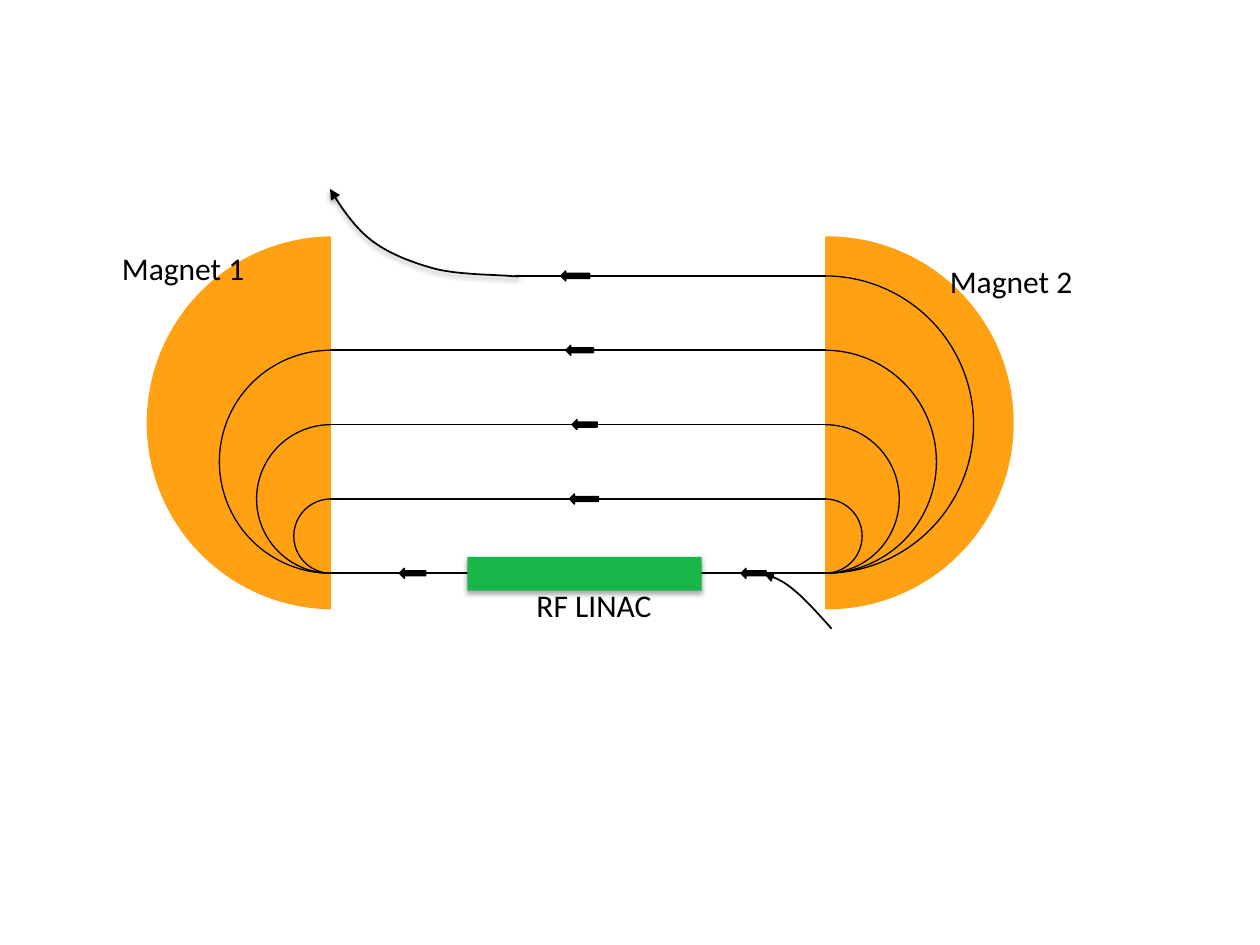
from lxml import etree
from pptx import Presentation
from pptx.dml.color import RGBColor
from pptx.enum.shapes import MSO_CONNECTOR, MSO_SHAPE as SHAPE
from pptx.oxml import parse_xml
from pptx.oxml.ns import nsdecls, qn
from pptx.util import Pt

ORANGE = RGBColor(0xFF, 0xA1, 0x12)
GREEN = RGBColor(0x19, 0xB7, 0x49)
BLACK = RGBColor(0, 0, 0)
WHITE = RGBColor(0xFF, 0xFF, 0xFF)

# Content, in points
BEAM_Y, STEP = 327.6, 42.48          # lowest beam, gap between beams
MAGNET_TOP, MAGNET_SIZE = 135.4, 212.4
MAGNETS = [  # magnet centre, orbit centre, number of orbits, mask left, mask top
    (190.4, 189.1, 3, 189.4, 131.8),
    (472.7, 471.4, 4, 360, 133.9),
]
MASK_W, MASK_H = 110.9, 217.4
BEAM_LEFTS, BEAM_RIGHT = [188.6] * 4 + [293.8], 472.3   # from the bottom up
LINAC = (267.1, 318.2, 133.9, 19.4)
ARROWS = [  # beam number, left, width
    (0, 423.4, 14.4), (0, 228.2, 15.1), (1, 325.4, 16.6),
    (2, 326.9, 14.4), (3, 323.3, 15.8), (4, 320.4, 16.6),
]
ARROW_H = 5.8
INJECTION = [(436.3, 327.6), (442.1, 329.8), (447.8, 331.9), (454.3, 337.7),
             (460.8, 342.7), (475.2, 359.3), (475.2, 359.3)]
EXTRACTION = [(188.6, 108), (195.1, 118.8), (202.3, 129.6), (212.4, 137.5),
              (221.8, 144.7), (234.7, 149.8), (247.7, 153.4),
              (260.6, 157), (283, 157), (290.9, 157.7),
              (298.8, 158.4), (295.9, 157.7), (295.9, 157.7)]
LABELS = [("RF LINAC", 299.5, 331.2), ("Magnet 1", 62.6, 139),
          ("Magnet 2", 535.7, 146.2)]

prs = Presentation()
prs.slide_width, prs.slide_height = Pt(720), Pt(540)
s = prs.slides.add_slide(prs.slide_layouts[6])


def add_shape(kind, x, y, w, h, fill=None, line=None):
    sp = s.shapes.add_shape(kind, Pt(x), Pt(y), Pt(w), Pt(h))
    sp.shadow.inherit = False
    if fill is None:
        sp.fill.background()
    else:
        sp.fill.solid()
        sp.fill.fore_color.rgb = fill
    if line is None:
        sp.line.fill.background()
    else:
        sp.line.color.rgb = line
        sp.line.width = Pt(0.75)
    return sp


def add_shadow(sp, dist, alpha):
    effects = sp._element.spPr.find(qn("a:effectLst"))
    effects.append(parse_xml(
        f'<a:outerShdw {nsdecls("a")} blurRad="{Pt(3.1)}" dist="{Pt(dist)}" '
        f'dir="5400000" rotWithShape="0"><a:srgbClr val="000000">'
        f'<a:alpha val="{alpha * 1000}"/></a:srgbClr></a:outerShdw>'))


def bezier(a, b, c, d, t):
    u = 1 - t
    return tuple(Pt(u**3 * i + 3 * u * u * t * j + 3 * u * t * t * k + t**3 * m)
                 for i, j, k, m in zip(a, b, c, d))


def add_curve(points, steps=12):
    dots = [bezier(*points[i:i + 4], n / steps)
            for i in range(0, len(points) - 1, 3) for n in range(1, steps + 1)]
    builder = s.shapes.build_freeform(Pt(points[0][0]), Pt(points[0][1]))
    builder.add_line_segments(dots, close=False)
    sp = builder.convert_to_shape()
    sp.shadow.inherit = False
    sp.fill.background()
    sp.line.color.rgb = BLACK
    sp.line.width = Pt(1)
    etree.SubElement(sp.line._get_or_add_ln(), qn("a:headEnd"), type="triangle")
    return sp


# Magnets: full circles, with the inner half masked in white
for centre, orbit_x, orbits, mask_x, mask_y in MAGNETS:
    add_shape(SHAPE.OVAL, centre - MAGNET_SIZE / 2, MAGNET_TOP,
              MAGNET_SIZE, MAGNET_SIZE, ORANGE, ORANGE)
    for n in range(1, orbits + 1):
        size = n * STEP
        add_shape(SHAPE.OVAL, orbit_x - size / 2, BEAM_Y - size, size, size, line=BLACK)
    add_shape(SHAPE.RECTANGLE, mask_x, mask_y, MASK_W, MASK_H, WHITE, WHITE)

# Straight beams
for n, left in enumerate(BEAM_LEFTS):
    y = Pt(BEAM_Y - n * STEP)
    beam = s.shapes.add_connector(MSO_CONNECTOR.STRAIGHT, Pt(left), y, Pt(BEAM_RIGHT), y)
    beam.line.color.rgb = BLACK
    beam.line.width = Pt(1)
    etree.SubElement(beam._element.spPr, qn("a:effectLst"))

# Accelerator, injection, direction arrows and extraction
add_shadow(add_shape(SHAPE.RECTANGLE, *LINAC, GREEN), 1.8, 35)
add_curve(INJECTION)
for n, left, width in ARROWS:
    add_shape(SHAPE.LEFT_ARROW, left, BEAM_Y - n * STEP - ARROW_H / 2,
              width, ARROW_H, BLACK, BLACK)
add_shadow(add_curve(EXTRACTION), 1.6, 38)

# Labels
for text, x, y in LABELS:
    tf = s.shapes.add_textbox(Pt(x), Pt(y), Pt(93.6), Pt(29)).text_frame
    tf.word_wrap = True
    p = tf.paragraphs[0]
    p.text = text
    p.font.name, p.font.size = "Calibri", Pt(18)
    p.font.color.rgb = BLACK

prs.save("out.pptx")
